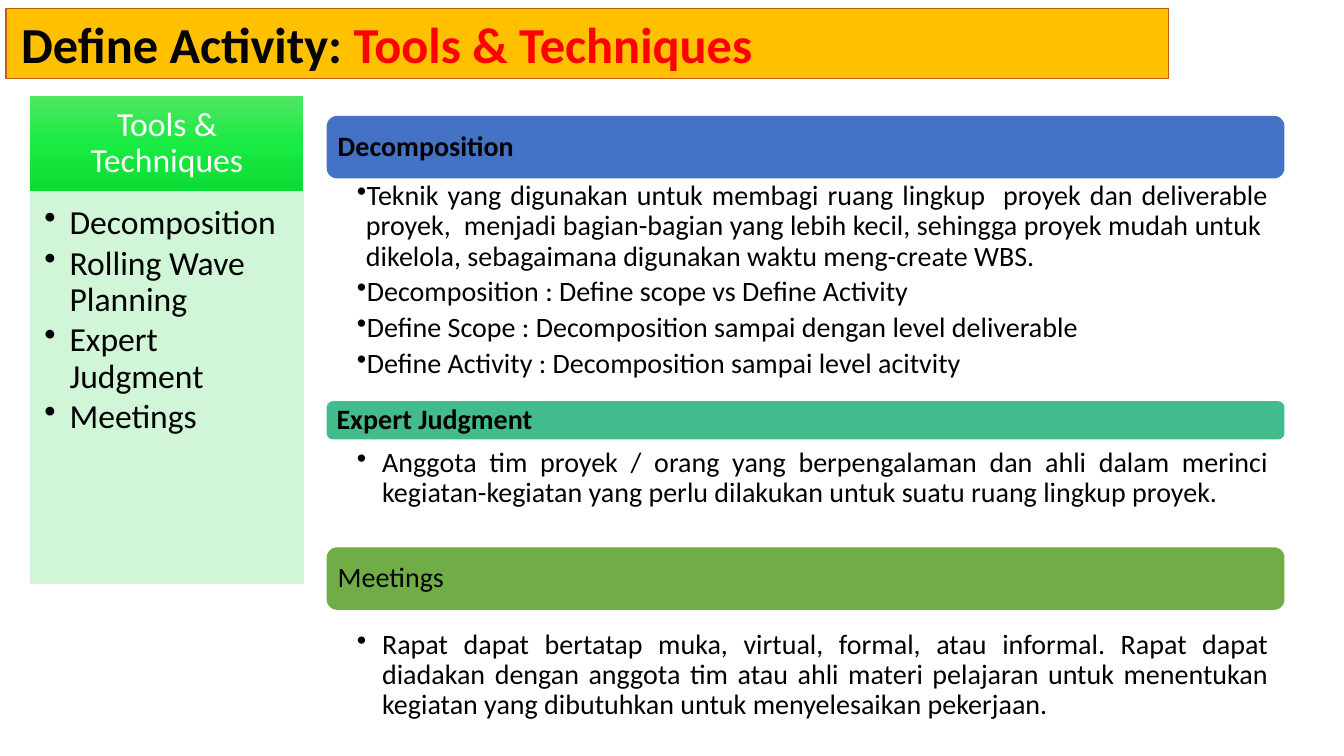
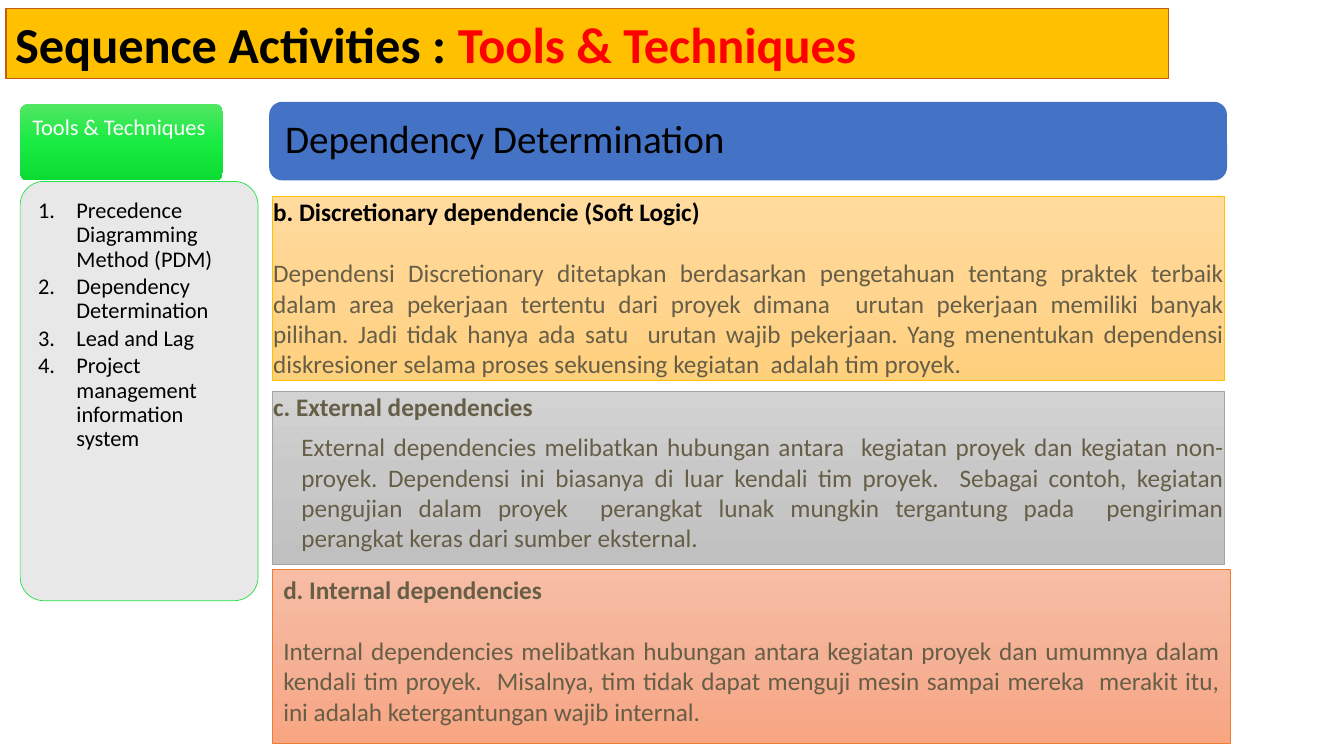
from copy import deepcopy
from typing import NamedTuple

from lxml import etree
from pptx import Presentation
from pptx.dml.color import RGBColor
from pptx.enum.shapes import MSO_SHAPE
from pptx.enum.text import MSO_ANCHOR, PP_ALIGN
from pptx.oxml.ns import qn
from pptx.util import Emu, Pt

PX = 9144  # EMU per px, 100 px to the inch
FONT = "Calibri"
RECT, ROUND = MSO_SHAPE.RECTANGLE, MSO_SHAPE.ROUNDED_RECTANGLE
TOP, MIDDLE = MSO_ANCHOR.TOP, MSO_ANCHOR.MIDDLE
LEFT, CENTER, JUSTIFY = PP_ALIGN.LEFT, PP_ALIGN.CENTER, PP_ALIGN.JUSTIFY

BLACK = RGBColor(0x00, 0x00, 0x00)
WHITE = RGBColor(0xFF, 0xFF, 0xFF)
RED = RGBColor(0xFF, 0x00, 0x00)
GOLD = RGBColor(0xFF, 0xC0, 0x00)
RUST = RGBColor(0xC5, 0x5A, 0x11)
BLUE = RGBColor(0x44, 0x72, 0xC4)
TEAL = RGBColor(0x43, 0xBB, 0x8D)
GREEN = RGBColor(0x70, 0xAD, 0x47)
MINT = RGBColor(0xCC, 0xF6, 0xD3)
LIME = RGBColor(0x23, 0xE1, 0x48)
PALE_GRAY = RGBColor(0xE7, 0xE6, 0xE6)
GRAY = RGBColor(0xA5, 0xA5, 0xA5)
ORANGE = RGBColor(0xED, 0x7D, 0x31)
OLIVE = RGBColor(0x67, 0x5E, 0x47)
LIME_FADE = (RGBColor(0x51, 0xE6, 0x63), RGBColor(0x19, 0xEB, 0x42), RGBColor(0x0C, 0xDB, 0x34))
GOLD_FADE = (RGBColor(0xFF, 0xDB, 0x9E), RGBColor(0xFF, 0xD5, 0x90), RGBColor(0xFF, 0xD0, 0x7C))
GRAY_FADE = (RGBColor(0xD2, 0xD2, 0xD2), RGBColor(0xC8, 0xC8, 0xC8), RGBColor(0xC0, 0xC0, 0xC0))
ORANGE_FADE = (RGBColor(0xF7, 0xBD, 0xA5), RGBColor(0xF5, 0xB1, 0x96), RGBColor(0xF8, 0xA5, 0x82))


class Box(NamedTuple):
    left: int
    top: int
    width: int
    height: int

    def emu(self):
        return [Emu(side * PX) for side in self]


TITLE_BOX = Box(6, 8, 1153, 70)


# Shared drawing helpers
def paint(shape, fill, line=None, width=0.5, opacity=None):
    """Fill with one colour, or with a downward fade of three."""
    shape.shadow.inherit = False
    if isinstance(fill, RGBColor):
        shape.fill.solid()
        shape.fill.fore_color.rgb = fill
        if opacity:
            color = shape._element.spPr.find(qn("a:solidFill"))[0]
            etree.SubElement(color, qn("a:alpha"), val=str(opacity * 1000))
    else:
        shape.fill.gradient()
        shape.fill.gradient_angle = 270
        stops = shape._element.spPr.find(".//" + qn("a:gsLst"))
        stops.append(deepcopy(stops[-1]))
        for index, stop in enumerate(shape.fill.gradient_stops):
            stop.color.rgb = fill[index]
            stop.position = index / 2
    if line is None:
        shape.line.fill.background()
    else:
        shape.line.color.rgb = line
        shape.line.width = Pt(width)


def add_block(page, box, fill, line=None, kind=RECT, corner=None, **look):
    shape = page.shapes.add_shape(kind, *box.emu())
    if corner:
        shape.adjustments[0] = corner
    paint(shape, fill, line, **look)
    return shape


def set_frame(shape, insets, anchor=TOP):
    frame = shape.text_frame
    sides = ("margin_left", "margin_top", "margin_right", "margin_bottom")
    values = dict(zip(sides, (Emu(inset * PX) for inset in insets)))
    values.update(word_wrap=True, vertical_anchor=anchor)
    for name, value in values.items():
        setattr(frame, name, value)
    return frame


def add_para(frame, spans, size, layout=None, indent=0, hanging=0, bullet=None):
    """Each span is (text, colour, bold); layout holds paragraph format values."""
    first = frame.paragraphs[0]
    para = first if not first.runs else frame.add_paragraph()
    for name, value in {"alignment": LEFT, **(layout or {})}.items():
        setattr(para, name, value)
    properties = para._p.get_or_add_pPr()
    properties.set("marL", str(indent * PX))
    properties.set("indent", str(-hanging * PX))
    if bullet == "number":
        etree.SubElement(properties, qn("a:buAutoNum"), type="arabicPeriod")
    elif bullet:
        etree.SubElement(properties, qn("a:buChar"), char=bullet)
    for text, color, bold in spans:
        span = para.add_run()
        span.text = text
        for name, value in {"name": FONT, "size": Pt(size), "bold": bold}.items():
            setattr(span.font, name, value)
        span.font.color.rgb = color


# Regions
def add_title(page, topic, inset):
    band = add_block(page, TITLE_BOX, GOLD, RUST, width=0.75)
    frame = set_frame(band, (inset, 5, 9, 5), MIDDLE)
    add_para(frame, [(topic + " ", BLACK, True), ("Tools & Techniques", RED, True)], 36)


def add_bar(page, box, text, fill, size=20, inset=8, bold=False):
    bar = add_block(page, box, fill, kind=ROUND)
    frame = set_frame(bar, (inset, 0, inset, 0), MIDDLE)
    add_para(frame, [(text, BLACK, bold)], size, {"line_spacing": 0.9})


def add_bullets(page, box, items, hanging):
    frame = set_frame(page.shapes.add_textbox(*box.emu()), (30, 3, 16, 3))
    layout = {"alignment": JUSTIFY, "line_spacing": 0.9, "space_after": Pt(4)}
    for item in items:
        add_para(frame, [(item, BLACK, False)], 20, layout, hanging, hanging, "•")


def add_sidebar(page, header, body, items, style):
    """Tools list: a green header box above a tinted body box."""
    size, shape = style["size"], style["shape"]
    head = add_block(page, header, LIME_FADE, **shape)
    frame = set_frame(head, style["head_insets"], style["head_anchor"])
    add_para(frame, [("Tools & Techniques", WHITE, False)], size,
             {"alignment": style["head_align"], "line_spacing": 0.9})
    panel = add_block(page, body, style["fill"], style["line"], opacity=90, **shape)
    frame = set_frame(panel, style["body_insets"])
    layout = {"line_spacing": 0.9, "space_after": Pt(style["after"])}
    for item in items:
        add_para(frame, [(item, BLACK, False)], size, layout,
                 style["hanging"], style["hanging"], style["bullet"])


def add_panel(page, box, heading, text, fade, line, color=OLIVE,
              insets=(1, 0, 0, 0), indent=0, gap=22):
    panel = add_block(page, box, fade, line)
    frame = set_frame(panel, insets)
    add_para(frame, [(heading, color, True)], 18, {"alignment": JUSTIFY})
    add_para(frame, [(text, OLIVE, False)], 18,
             {"alignment": JUSTIFY, "space_before": Pt(gap)}, indent)


SQUARE_SIDEBAR = {
    "size": 24, "shape": {"kind": RECT}, "fill": MINT, "line": MINT,
    "head_insets": (19, 11, 19, 11), "head_anchor": MIDDLE, "head_align": CENTER,
    "body_insets": (14, 14, 19, 21), "after": 3, "hanging": 25, "bullet": "•",
}
ROUND_SIDEBAR = {
    "size": 16, "shape": {"kind": ROUND, "corner": 0.1}, "fill": PALE_GRAY, "line": LIME,
    "head_insets": (10, 10, 10, 30), "head_anchor": TOP, "head_align": LEFT,
    "body_insets": (11, 11, 11, 11), "after": 2.4, "hanging": 38, "bullet": "number",
}


# Slides
def build_define_activity(page):
    add_title(page, "Define Activity:", 15)
    left, width = 324, 950
    sections = [
        ("Decomposition", BLUE, True, 115, 62, 177, 220, 9, [
            "Teknik yang digunakan untuk membagi ruang lingkup  proyek dan deliverable "
            "proyek,  menjadi bagian-bagian yang lebih kecil, sehingga proyek mudah untuk  "
            "dikelola, sebagaimana digunakan waktu meng-create WBS.",
            "Decomposition : Define scope vs Define Activity",
            "Define Scope : Decomposition sampai dengan level deliverable",
            "Define Activity : Decomposition sampai level acitvity"]),
        ("Expert Judgment", TEAL, True, 398, 38, 442, 93, 25, [
            "Anggota tim proyek / orang yang berpengalaman dan ahli dalam merinci "
            "kegiatan-kegiatan yang perlu dilakukan untuk suatu ruang lingkup proyek."]),
        ("Meetings", GREEN, False, 543, 62, 622, 100, 25, [
            "Rapat dapat bertatap muka, virtual, formal, atau informal. Rapat dapat "
            "diadakan dengan anggota tim atau ahli materi pelajaran untuk menentukan "
            "kegiatan yang dibutuhkan untuk menyelesaikan pekerjaan."]),
    ]
    for name, fill, bold, top, height, text_top, text_height, hanging, items in sections:
        add_bar(page, Box(left, top, width, height), name, fill, bold=bold)
        add_bullets(page, Box(left, text_top, width, text_height), items, hanging)
    add_sidebar(page, Box(30, 95, 271, 95), Box(30, 190, 271, 389),
                ["Decomposition", "Rolling Wave Planning", "Expert Judgment", "Meetings"],
                SQUARE_SIDEBAR)


def build_sequence_activities(page):
    add_title(page, "Sequence Activities :", 9)
    add_bar(page, Box(267, 101, 950, 78), "Dependency Determination", BLUE, 28, 12)
    add_panel(page, Box(270, 195, 944, 182), "b. Discretionary dependencie (Soft Logic)",
              "Dependensi Discretionary ditetapkan berdasarkan pengetahuan tentang praktek "
              "terbaik dalam area pekerjaan tertentu dari proyek dimana  urutan pekerjaan "
              "memiliki banyak pilihan. Jadi tidak hanya ada satu  urutan wajib pekerjaan. "
              "Yang menentukan dependensi diskresioner selama proses sekuensing kegiatan  "
              "adalah tim proyek.", GOLD_FADE, GOLD, color=BLACK)
    add_panel(page, Box(270, 388, 944, 172), "c. External dependencies",
              "External dependencies melibatkan hubungan antara  kegiatan proyek dan kegiatan "
              "non-proyek. Dependensi ini biasanya di luar kendali tim proyek.  Sebagai contoh, "
              "kegiatan pengujian dalam proyek  perangkat lunak mungkin tergantung pada  "
              "pengiriman perangkat keras dari sumber eksternal.", GRAY_FADE, GRAY,
              indent=28, gap=7.4)
    add_panel(page, Box(270, 565, 950, 172), "d. Internal dependencies",
              "Internal dependencies melibatkan hubungan antara kegiatan proyek dan umumnya "
              "dalam kendali tim proyek.  Misalnya, tim tidak dapat menguji mesin sampai "
              "mereka  merakit itu, ini adalah ketergantungan wajib internal.",
              ORANGE_FADE, ORANGE, insets=(11, 5, 10, 5))
    add_sidebar(page, Box(20, 103, 201, 76), Box(20, 180, 236, 416),
                ["Precedence Diagramming Method (PDM)", "Dependency Determination",
                 "Lead and Lag", "Project management information system"],
                ROUND_SIDEBAR)


def main():
    deck = Presentation()
    deck.slide_width, deck.slide_height = Emu(1333 * PX), Emu(750 * PX)
    for build in (build_define_activity, build_sequence_activities):
        build(deck.slides.add_slide(deck.slide_layouts[6]))
    deck.save("out.pptx")


if __name__ == "__main__":
    main()
